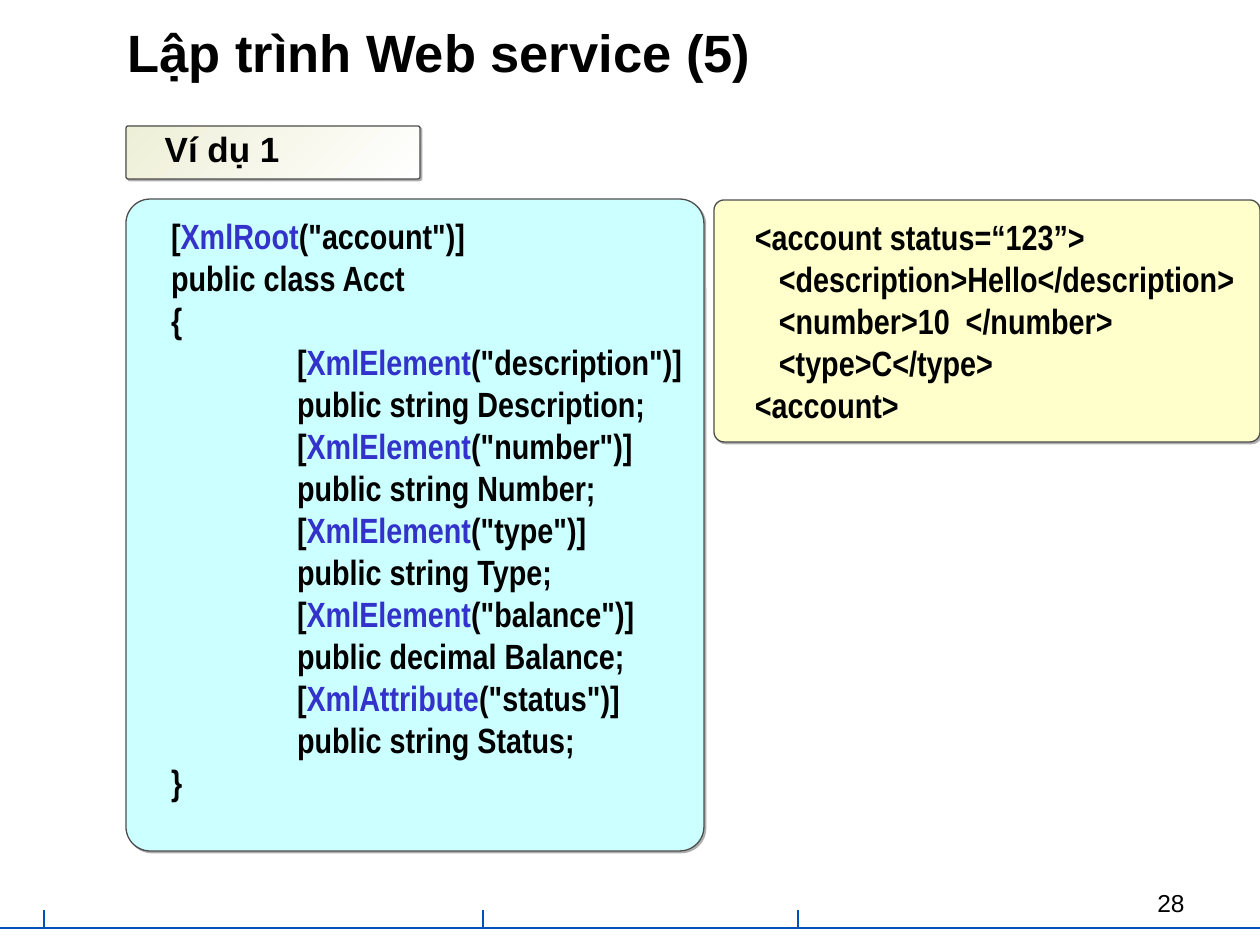
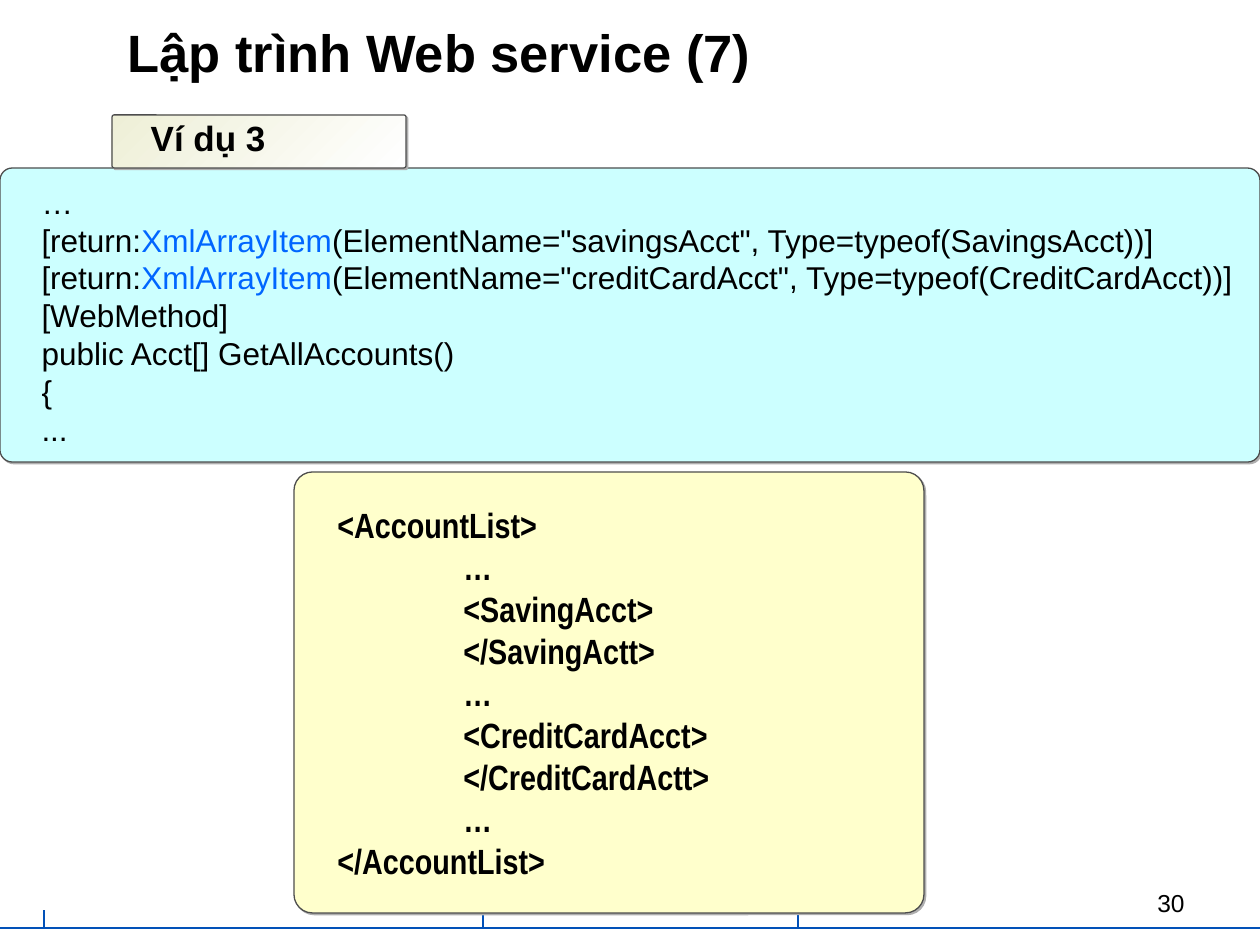
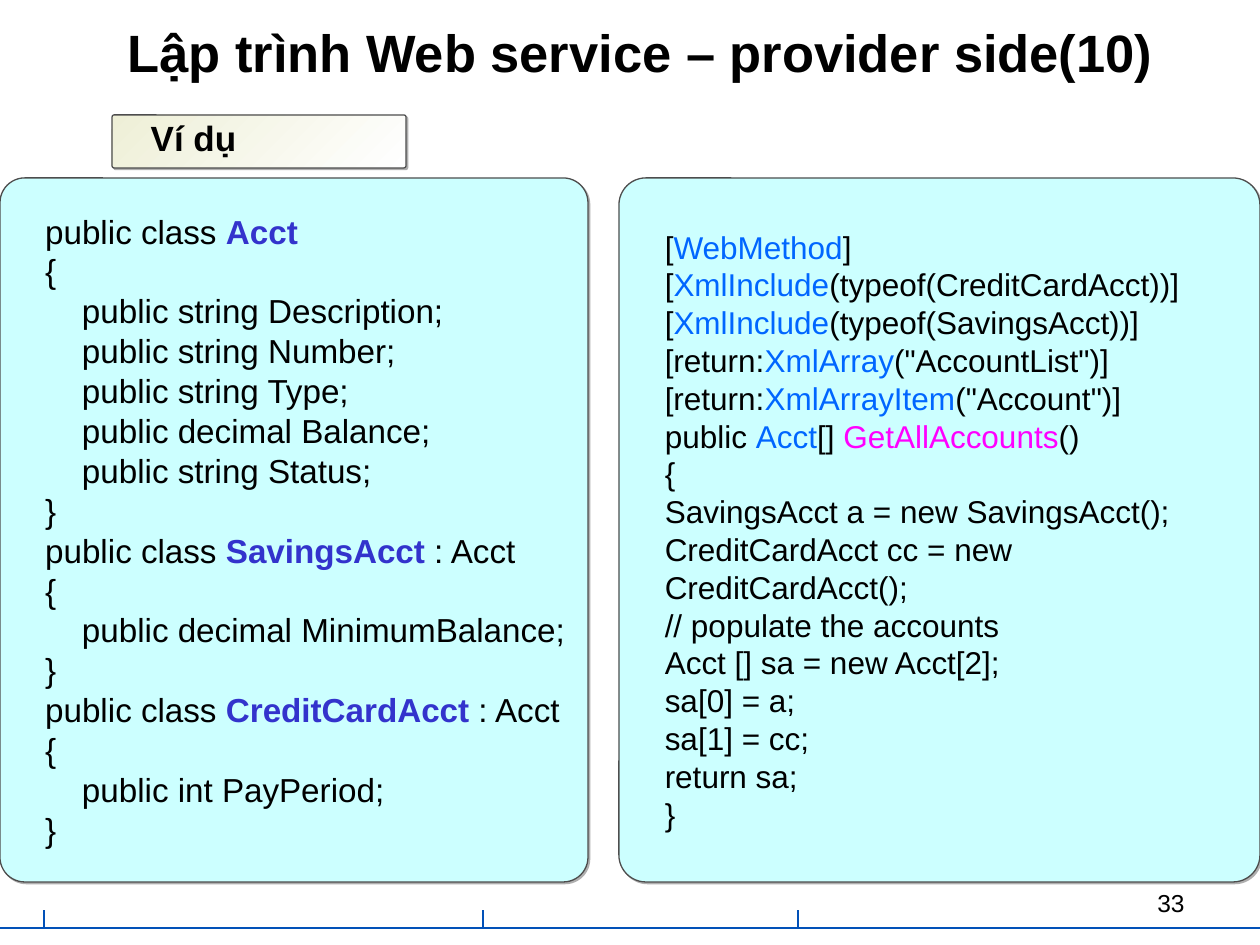
from lxml import etree
from pptx import Presentation
from pptx.dml.color import RGBColor
from pptx.enum.shapes import MSO_CONNECTOR, MSO_SHAPE
from pptx.enum.text import MSO_ANCHOR, MSO_AUTO_SIZE, PP_ALIGN
from pptx.oxml import parse_xml
from pptx.oxml.ns import nsdecls, qn
from pptx.util import Pt

STRAIGHT = MSO_CONNECTOR.STRAIGHT
ROUNDED = MSO_SHAPE.ROUNDED_RECTANGLE
MIDDLE = MSO_ANCHOR.MIDDLE
NO_AUTOFIT = MSO_AUTO_SIZE.NONE
LEFT, RIGHT = PP_ALIGN.LEFT, PP_ALIGN.RIGHT

PX = 914400 / 126
WIDTH, HEIGHT = 1260, 945
TAB_STOP = 126
COLORS = {
    "text": "000000",
    "rule": "0251B8",
    "outline": "4D4D4D",
    "shadow": "AFAFAF",
    "code": "CCFFFF",
    "xml": "FFFFCC",
    "tag_start": "FFFFFF",
    "tag_end": "EEEFD7",
    "indigo": "3333CC",
    "blue": "0066FF",
    "magenta": "FF00FF",
}

ACCT_CLASS = """[|XmlRoot|("account")]
public class Acct
{
\t[|XmlElement|("description")]
\tpublic string Description;
\t[|XmlElement|("number")]
\tpublic string Number;
\t[|XmlElement|("type")]
\tpublic string Type;
\t[|XmlElement|("balance")]
\tpublic decimal Balance;
\t[|XmlAttribute|("status")]
\tpublic string Status;
}"""

ACCOUNT_XML = """<account status=“123”>
   <description>Hello</description>
   <number>10  </number>
   <type>C</type>
<account>"""

ARRAY_ITEM_METHOD = """…
[return:|XmlArrayItem|(ElementName="savingsAcct", Type=typeof(SavingsAcct))]
[return:|XmlArrayItem|(ElementName="creditCardAcct", Type=typeof(CreditCardAcct))]
[WebMethod]
public Acct[] GetAllAccounts()
{
..."""

ACCOUNT_LIST_XML = """<AccountList>
\t…
\t<SavingAcct>
\t</SavingActt>
\t…
\t<CreditCardAcct>
\t</CreditCardActt>
\t…
</AccountList>"""

ACCT_HIERARCHY = """public class |Acct|
{
    public string Description;
    public string Number;
    public string Type;
    public decimal Balance;
    public string Status;
}
public class |SavingsAcct| : Acct
{
    public decimal MinimumBalance;
}
public class |CreditCardAcct| : Acct
{
    public int PayPeriod;
}"""

INCLUDE_METHOD = """[|WebMethod|]
[|XmlInclude|(typeof(CreditCardAcct))]
[|XmlInclude|(typeof(SavingsAcct))]
[return:|XmlArray|("AccountList")]
[return:|XmlArrayItem|("Account")]
public |Acct|[] |GetAllAccounts|()
{
SavingsAcct a = new SavingsAcct();
CreditCardAcct cc = new CreditCardAcct();
// populate the accounts
Acct [] sa = new Acct[2];
sa[0] = a;
sa[1] = cc;
return sa;
}"""


def px(length):
    """Turn pixels into EMU."""
    return round(length * PX)


def rgb(name):
    """Look up a colour of the palette."""
    return RGBColor.from_string(COLORS[name])


def write_text(frame, text, size=18, font="Arial", bold=False, align=LEFT, spacing=1.0,
               accent="blue", accent_bold=False, special=None):
    """Write one paragraph a line; parts between bars take the accent format."""
    frame.word_wrap = True
    frame.auto_size = NO_AUTOFIT
    special = special or {}
    for number, line in enumerate(text.split("\n")):
        paragraph = frame.add_paragraph() if number else frame.paragraphs[0]
        paragraph.alignment = align
        paragraph.line_spacing = spacing
        if line.startswith("\t"):
            tabs = etree.SubElement(paragraph._p.get_or_add_pPr(), qn("a:tabLst"))
            etree.SubElement(tabs, qn("a:tab"), pos=str(px(TAB_STOP)), algn="l")
        for position, part in enumerate(line.split("|")):
            if not part:
                continue
            marked = position % 2 == 1
            run = paragraph.add_run()
            run.text = part
            run.font.size = Pt(size)
            run.font.name = font
            run.font.bold = accent_bold or bold if marked else bold
            run.font.color.rgb = rgb(special.get(part, accent) if marked else "text")


class Deck:
    """Holds the presentation, its style and the current slide."""

    def __init__(self):
        """Open an empty presentation of the right size."""
        self.presentation = Presentation()
        self.presentation.slide_width = px(WIDTH)
        self.presentation.slide_height = px(HEIGHT)
        self.slide = None

    def start(self, title, number, title_width=1018):
        """Add a slide with its title, footer rule and number."""
        layout = self.presentation.slide_layouts[5]
        self.slide = self.presentation.slides.add_slide(layout)
        self.rule(WIDTH, 928, 0, 928)
        for tick in (44, 483, 798):
            self.rule(tick, 928, tick, 910)
        heading = self.slide.shapes.title
        heading.left, heading.top = px(115), px(10)
        heading.width, heading.height = px(title_width), px(95)
        heading.text_frame.vertical_anchor = MIDDLE
        write_text(heading.text_frame, title, size=30, bold=True, spacing=0.8)
        page = self.slide.shapes.add_textbox(px(903), px(882), px(294), px(43))
        write_text(page.text_frame, str(number), size=14, align=RIGHT)

    def rule(self, x1, y1, x2, y2):
        """Draw a thin footer line."""
        line = self.slide.shapes.add_connector(STRAIGHT, px(x1), px(y1), px(x2), px(y2))
        line.line.color.rgb = rgb("rule")
        line.line.width = Pt(0.75)
        etree.SubElement(line.element.spPr, qn("a:effectLst"))

    def box(self, left, top, width, height, text, bottom_inset=6, **text_format):
        """Add a rounded, outlined box with a hard shadow and text."""
        box = self.slide.shapes.add_shape(ROUNDED, px(left), px(top), px(width), px(height))
        box.adjustments[0] = 0.042
        box.line.color.rgb = rgb("outline")
        box.line.width = Pt(0.75)
        box.element.spPr.append(parse_xml(
            f'<a:effectLst {nsdecls("a")}><a:outerShdw dist="{Pt(1.4)}" dir="2700000" '
            f'algn="ctr" rotWithShape="0"><a:srgbClr val="{COLORS["shadow"]}"/>'
            '</a:outerShdw></a:effectLst>'))
        frame = box.text_frame
        frame.vertical_anchor = MIDDLE
        frame.margin_left, frame.margin_right = px(38), px(13)
        frame.margin_top, frame.margin_bottom = px(6), px(bottom_inset)
        write_text(frame, text, **text_format)
        return box

    def panel(self, left, top, width, height, text, fill="code", **text_format):
        """Add a box with a plain fill that shows a listing."""
        box = self.box(left, top, width, height, text, **text_format)
        box.fill.solid()
        box.fill.fore_color.rgb = rgb(fill)

    def tag(self, left, top, text):
        """Add the gradient label that names the example."""
        label = self.box(left, top, 294, 53, text, size=20, bold=True, spacing=0.8)
        label.fill.gradient()
        label.fill.gradient_angle = 135
        for stop, name in zip(label.fill.gradient_stops, ("tag_start", "tag_end")):
            stop.color.rgb = rgb(name)
            stop.position = 0 if name == "tag_start" else 1


def main():
    """Build the three slides."""
    deck = Deck()
    narrow = {"size": 20, "font": "Arial Narrow", "bold": True}

    deck.start("Lập trình Web service (5)", 28)
    deck.panel(126, 199, 578, 652, ACCT_CLASS, bottom_inset=39, accent="indigo", **narrow)
    deck.tag(126, 126, "Ví dụ 1")
    deck.panel(714, 200, 546, 242, ACCOUNT_XML, fill="xml", **narrow)

    deck.start("Lập trình Web service (7)", 30)
    deck.panel(0, 168, WIDTH, 294, ARRAY_ITEM_METHOD)
    deck.panel(294, 472, 630, 441, ACCOUNT_LIST_XML, fill="xml", **narrow)
    deck.tag(112, 115, "Ví dụ 3")

    deck.start("Lập trình Web service – provider side(10)", 33, title_width=1061)
    deck.tag(112, 115, "Ví dụ")
    deck.panel(0, 178, 588, 704, ACCT_HIERARCHY, size=19, accent="indigo", accent_bold=True)
    deck.panel(619, 178, 641, 704, INCLUDE_METHOD, special={"GetAllAccounts": "magenta"})

    deck.presentation.save("out.pptx")


if __name__ == "__main__":
    main()
